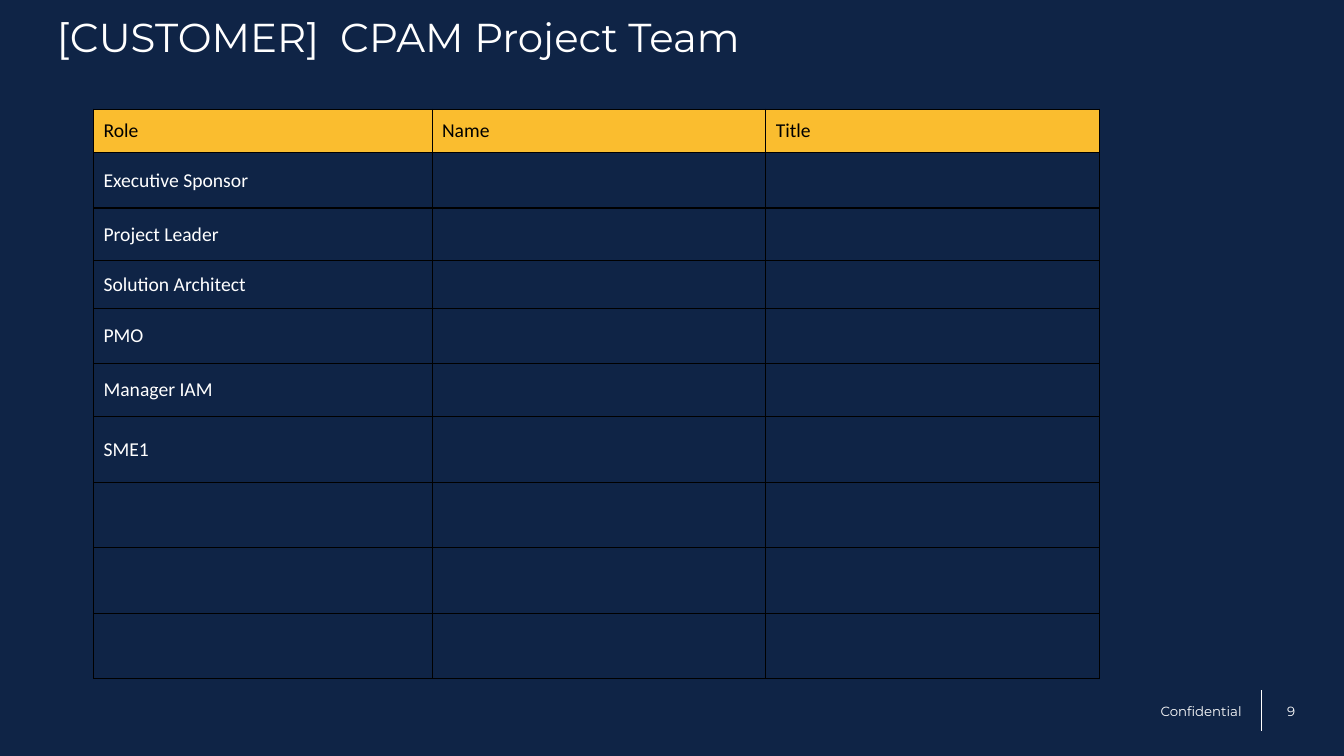
from lxml.etree import SubElement
from pptx import Presentation
from pptx.dml.color import RGBColor
from pptx.enum.shapes import MSO_CONNECTOR
from pptx.enum.text import MSO_ANCHOR, PP_ALIGN
from pptx.oxml.ns import qn
from pptx.util import Cm, Pt

NAVY, GOLD, WHITE, BLACK = "0F2446", "FABD2F", "FFFFFF", "000000"
HEADS = ["Role", "Name", "Title"]
ROLES = ["Executive Sponsor", "Project Leader", "Solution Architect",
         "PMO", "Manager IAM", "SME1", "", "", ""]
WIDTHS = [8.53, 8.41, 8.41]
HEIGHTS = [0.94, 1.4, 1.32, 1.22, 1.37, 1.35] + [1.65] * 4


def tint(code):
    return RGBColor.from_string(code)


class Page:
    """Draws styled elements on one slide."""

    def __init__(self, slide, face, body):
        self.slide, self.face, self.body = slide, face, body
        slide.background.fill.solid()
        slide.background.fill.fore_color.rgb = tint(NAVY)

    def style(self, para, face, size, color):
        font = para.font
        font.name, font.size = face, Pt(size)
        font.color.rgb = tint(color)

    def text(self, words, box, size, pad=(0, 0),
             align=PP_ALIGN.LEFT, anchor=MSO_ANCHOR.MIDDLE):
        frame = self.slide.shapes.add_textbox(*map(Cm, box)).text_frame
        frame.word_wrap = True
        frame.vertical_anchor = anchor
        frame.margin_left = frame.margin_right = Cm(pad[0])
        frame.margin_top = frame.margin_bottom = Cm(pad[1])
        para = frame.paragraphs[0]
        para.text, para.alignment = words, align
        self.style(para, self.face, size, WHITE)

    def line(self, left, top, right, low):
        rule = self.slide.shapes.add_connector(
            MSO_CONNECTOR.STRAIGHT, *map(Cm, (left, top, right, low)))
        rule.line.color.rgb = tint(WHITE)
        rule.line.width = Pt(0.75)
        SubElement(rule._element.spPr, qn("a:effectLst"))

    def border(self, cell):
        props = cell._tc.get_or_add_tcPr()
        for side in ("L", "R", "T", "B"):
            edge = SubElement(props, qn(f"a:ln{side}"), w=str(Pt(1)))
            fill = SubElement(edge, qn("a:solidFill"))
            SubElement(fill, qn("a:srgbClr"), val=BLACK)

    def cell(self, cell, words, head):
        self.border(cell)
        if head:
            cell.fill.solid()
            cell.fill.fore_color.rgb = tint(GOLD)
        else:
            cell.fill.background()
        cell.vertical_anchor = MSO_ANCHOR.MIDDLE
        cell.margin_left = cell.margin_right = Cm(0.25)
        cell.margin_top = cell.margin_bottom = Cm(0.25)
        cell.text = words
        self.style(cell.text_frame.paragraphs[0], self.body, 14,
                   BLACK if head else WHITE)

    def table(self, rows, left, top, widths, heights):
        table = self.slide.shapes.add_table(
            len(rows), len(widths), Cm(left), Cm(top),
            Cm(sum(widths)), Cm(sum(heights))).table
        table.horz_banding = table.first_row = False
        for col, width in zip(table.columns, widths):
            col.width = Cm(width)
        for row, height, words in zip(table.rows, heights, rows):
            row.height = Cm(height)
            for cell, word in zip(row.cells, words):
                self.cell(cell, word, words is HEADS)


def main():
    deck = Presentation()
    deck.slide_width, deck.slide_height = Cm(33.87), Cm(19.05)
    page = Page(deck.slides.add_slide(deck.slide_layouts[6]),
                "Montserrat", "Calibri")
    page.line(31.8, 17.4, 31.8, 18.42)
    for words, left, width in (("9", 31.5, 1.65), ("Confidential", 27.74, 4.06)):
        page.text(words, (left, 17.4, width, 1.02), 9.5,
                  (0.51, 0.13), PP_ALIGN.RIGHT)
    page.text(" [CUSTOMER]  CPAM Project Team", (1.17, 0.3, 31.52, 1.22),
              28.8, anchor=MSO_ANCHOR.BOTTOM)
    rows = [HEADS] + [[role, "", ""] for role in ROLES]
    page.table(rows, 2.36, 2.75, WIDTHS, HEIGHTS)
    deck.save("out.pptx")


if __name__ == "__main__":
    main()
